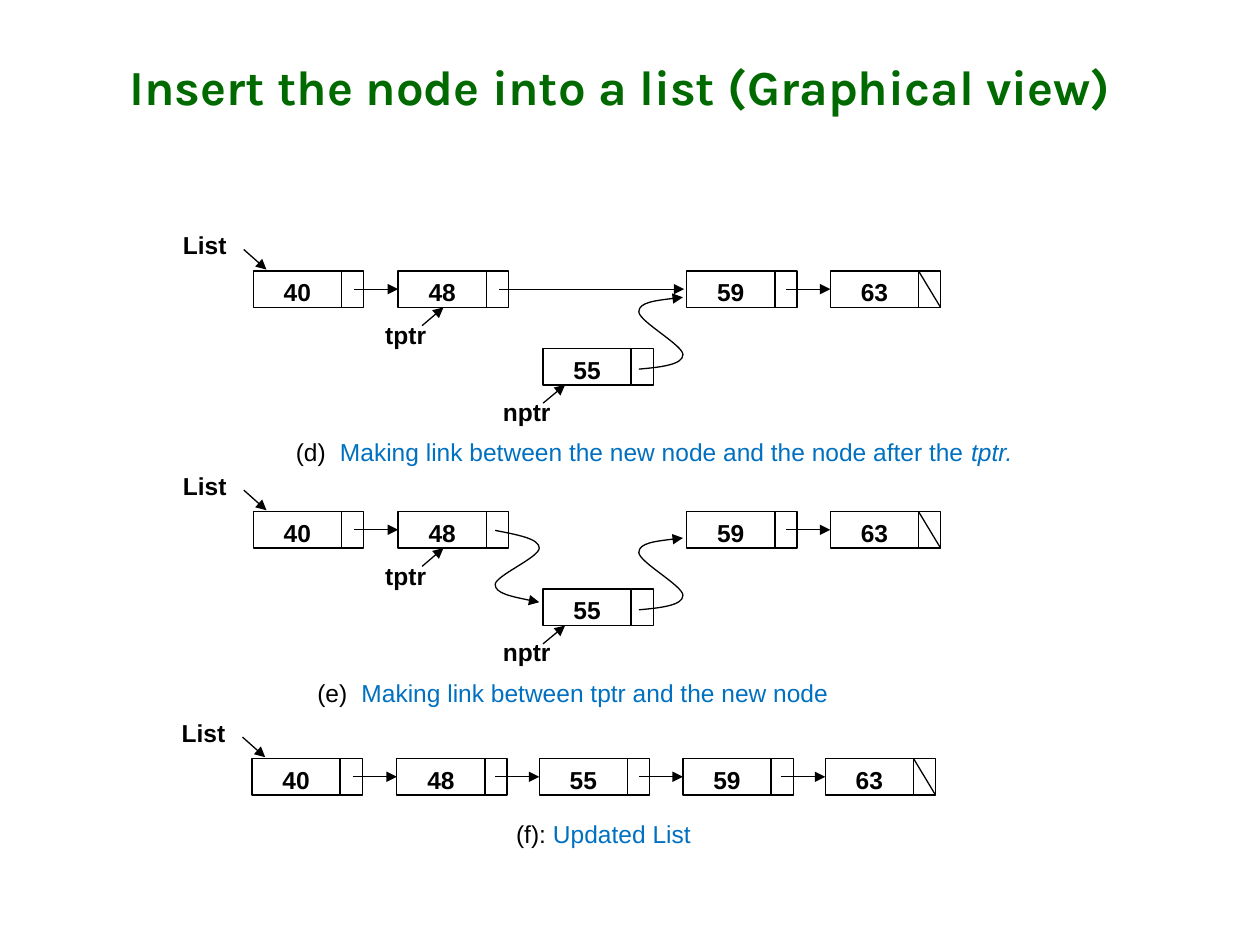
from lxml.etree import SubElement
from pptx import Presentation
from pptx.dml.color import RGBColor
from pptx.enum.shapes import MSO_CONNECTOR as Link, MSO_SHAPE as Preset
from pptx.enum.text import MSO_ANCHOR as Anchor, PP_ALIGN as Align
from pptx.oxml.ns import qn
from pptx.util import Inches, Pt

BLACK, BLUE, GREEN = "000000", "0070C0", "006A00"


def paint(color, value):
    color.rgb = RGBColor.from_string(value)


def write(frame, text, color=BLACK, size=14, font="Arial", bold=False,
          italic=False, align=Align.CENTER, anchor=Anchor.TOP):
    frame.word_wrap = True
    frame.vertical_anchor = anchor
    para = frame.paragraphs[0]
    para.alignment = align
    span = para.add_run()
    span.text = text
    span.font.name, span.font.size = font, Pt(size)
    span.font.bold, span.font.italic = bold, italic
    paint(span.font.color, color)


deck = Presentation()
deck.slide_width, deck.slide_height = Inches(10), Inches(7.5)
column, row = deck.slide_width / 100, deck.slide_height / 75
page = deck.slides.add_slide(deck.slide_layouts[5])
shapes = page.shapes

title = shapes.title
title.left, title.top = int(4.2 * column), int(1.8 * row)
title.width, title.height = int(90 * column), int(10 * row)
write(title.text_frame, "Insert the node into a list (Graphical view)",
      color=GREEN, size=28, font="Karla", bold=True, anchor=Anchor.MIDDLE)

value_width, link_width, node_height = 7, 1.75, 2.9
new_left, new_drop = 43.1, 6.15
insert_chain = [("40", 20.1), ("48", 31.6), ("59", 54.5), ("63", 65.9)]
final_chain = [("40", 20), ("48", 31.5), ("55", 42.8), ("59", 54.2), ("63", 65.5)]
stages = [(21.5, insert_chain), (40.6, insert_chain), (60.2, final_chain)]

nodes, labels = [], []
lines = [(39.6, 22.95, 54.3, 22.95, True)]
for top, chain in stages:
    first, last = chain[0][1], chain[-1][1]
    nodes += [(value, left, top) for value, left in chain]
    labels.append(("List", first - 8.25, top - 3.7))
    lines.append((first - 0.75, top - 1.7, first + 1.05, top - 0.1, True))
    lines.append((last + value_width, top,
                  last + value_width + link_width, top + node_height, False))
    for (value, left), (following, target) in zip(chain, chain[1:]):
        if target - left < 12:
            lines.append((target - 3.5, top + 1.45, target, top + 1.45, True))
    if chain is insert_chain:
        nodes.append(("55", new_left, top + new_drop))
        labels += [("tptr", 27.8, top + 3.4), ("nptr", 37.4, top + 9.5)]
        lines.append((33.5, top + 4.35, 35.2, top + node_height, True))
        lines.append((new_left, top + 10.5, new_left + 1.75, top + 9.05, True))

for value, left, top in nodes:
    for text, start, width in [(value, left, value_width),
                               ("", left + value_width, link_width)]:
        box = shapes.add_shape(Preset.RECTANGLE, int(start * column), int(top * row),
                               int(width * column), int(node_height * row))
        box.shadow.inherit = False
        box.fill.background()
        box.line.width = Pt(0.75)
        paint(box.line.color, BLACK)
        if text:
            write(box.text_frame, text, bold=True)

for text, left, top in labels:
    label = shapes.add_textbox(int(left * column), int(top * row),
                               int(8.8 * column), int(node_height * row))
    write(label.text_frame, text, bold=True)

for left, top, right, bottom, pointed in lines:
    line = shapes.add_connector(Link.STRAIGHT, int(left * column), int(top * row),
                                int(right * column), int(bottom * row))
    line.line.width = Pt(0.75)
    paint(line.line.color, BLACK)
    if pointed:
        SubElement(line.line._get_or_add_ln(), qn("a:tailEnd"), type="triangle")
    SubElement(line._element.spPr, qn("a:effectLst"))

rising = [(50.7, 7.8), (52.45, 7.65), (54.2, 7.45), (54.2, 6.65), (54.2, 5.9),
          (50.7, 4), (50.7, 3.25), (50.7, 2.5), (52.45, 2.3), (54.2, 2.1)]
falling = [(39.3, 1.5), (41.05, 1.85), (42.8, 2.15), (42.8, 2.9), (42.8, 3.65),
           (39.3, 5.1), (39.3, 5.8), (39.3, 6.5), (41.05, 6.85), (42.8, 7.2)]
for top, controls in [(21.5, rising), (40.6, rising), (40.6, falling)]:
    points = [(int(x * column), int((top + y) * row)) for x, y in controls]
    builder = shapes.build_freeform(*points[0])
    builder.add_line_segments(points[1:], close=False)
    curve = builder.convert_to_shape()
    curve.shadow.inherit = False
    curve.fill.background()
    curve.line.width = Pt(0.75)
    paint(curve.line.color, BLACK)
    SubElement(curve.line._get_or_add_ln(), qn("a:tailEnd"), type="triangle")
    outline = next(curve._element.iter(qn("a:path")))
    for index, segment in enumerate(outline.findall(qn("a:lnTo"))):
        if index % 3 == 0:
            bezier = SubElement(outline, qn("a:cubicBezTo"))
        bezier.append(segment[0])
        outline.remove(segment)

captions = [
    (17.5, 34.2, 70, 4.4, "(d)\t", [
        ("Making link between the new node and the node after the ", False),
        ("tptr.", True)]),
    (19.2, 53.3, 57.5, 5, "(e)\t", [
        ("Making link between tptr and the new node", False)]),
    (37.4, 64.5, 21, 3.2, "(f): ", [("Updated List", False)]),
]
for left, top, width, height, mark, parts in captions:
    caption = shapes.add_textbox(int(left * column), int(top * row),
                                 int(width * column), int(height * row))
    hanging = mark.endswith("\t")
    align = Align.LEFT if hanging else Align.CENTER
    write(caption.text_frame, mark, align=align)
    for text, italic in parts:
        write(caption.text_frame, text, color=BLUE, italic=italic, align=align)
    if hanging:
        layout = caption.text_frame.paragraphs[0]._p.get_or_add_pPr()
        layout.set("marL", str(int(8.5 * column)))
        layout.set("indent", str(int(-3.5 * column)))

deck.save("out.pptx")
